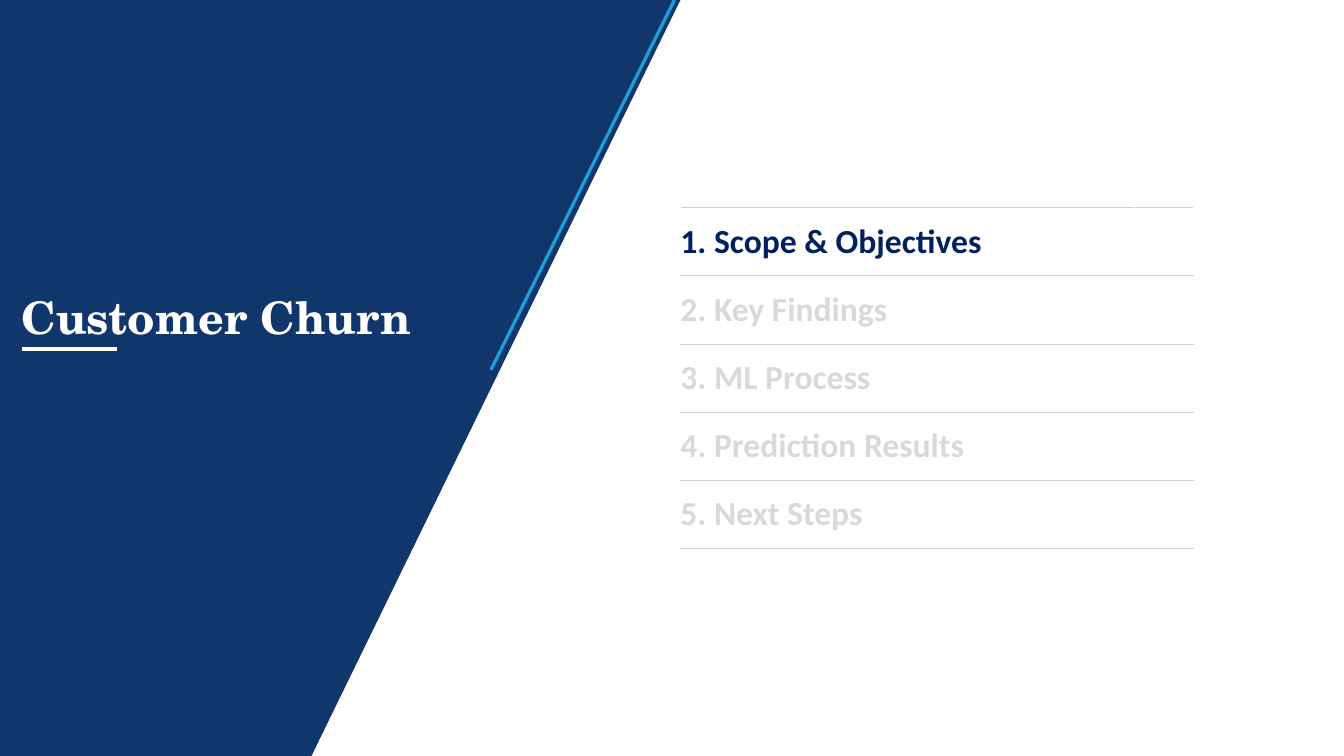
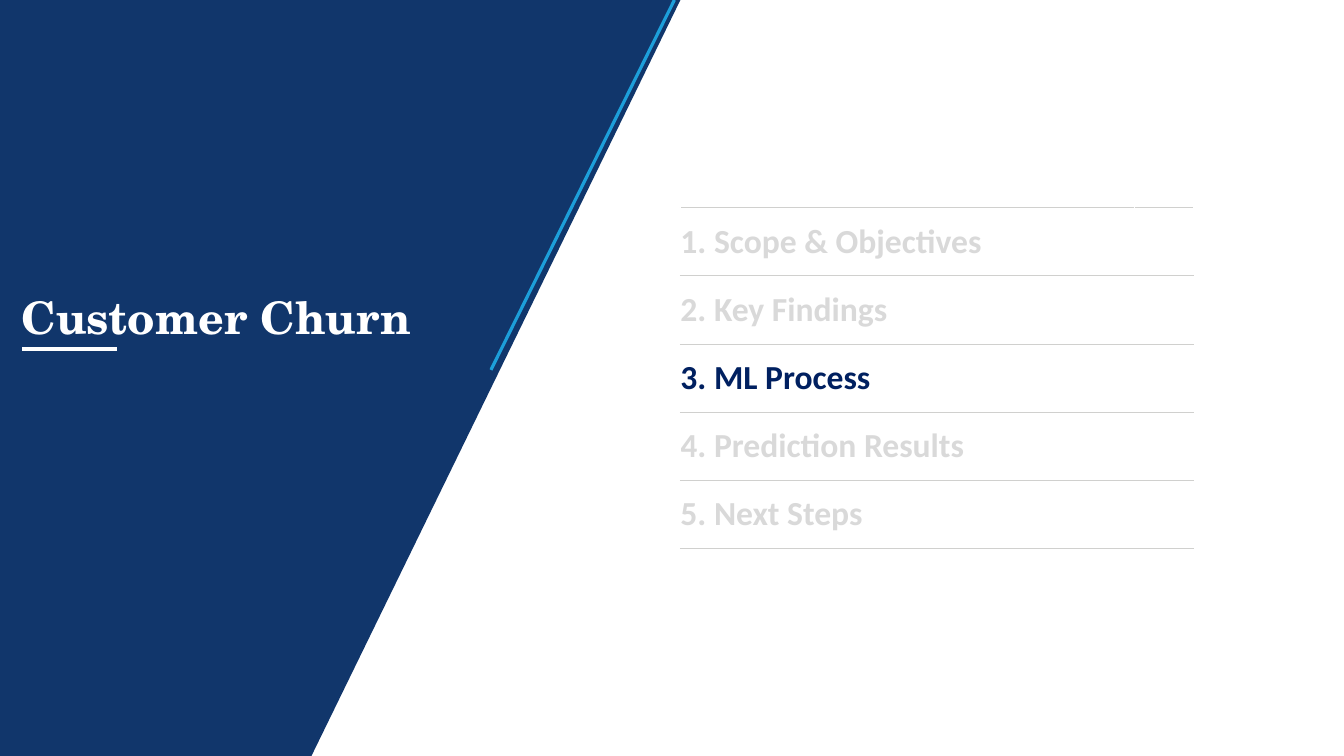
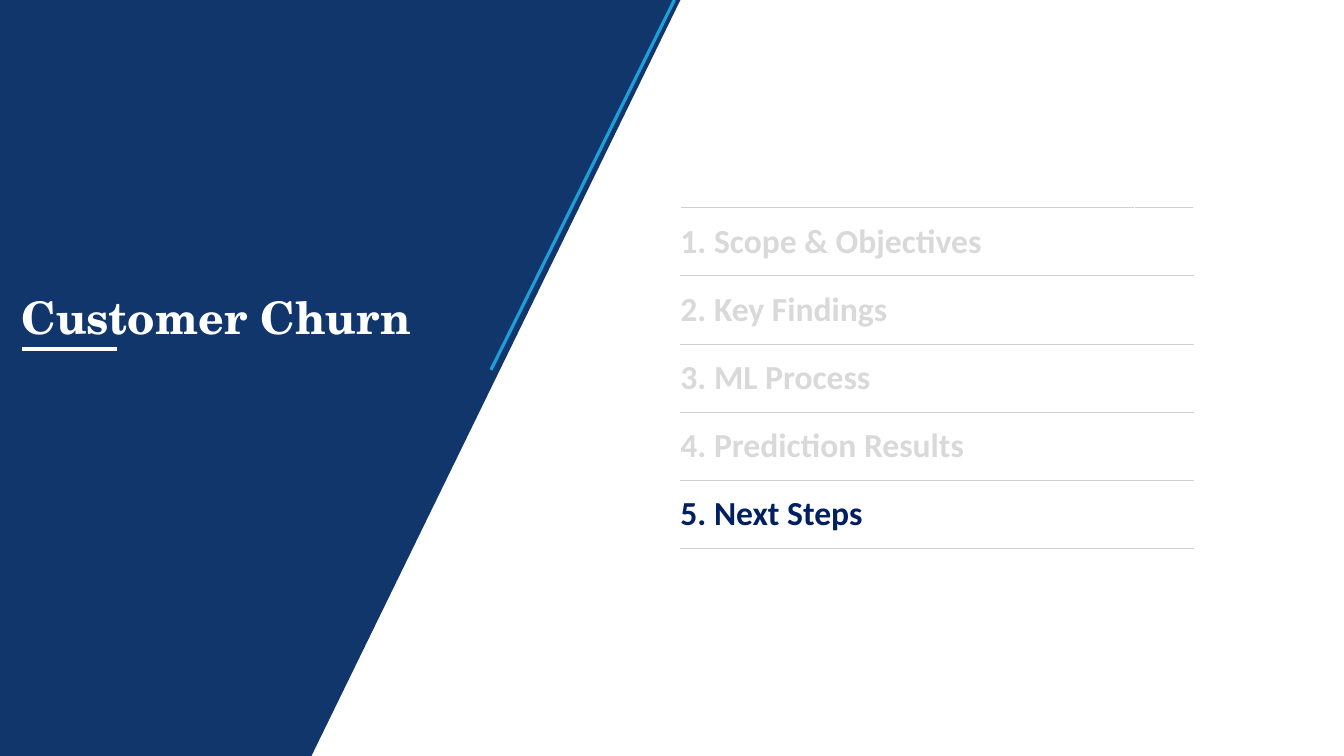
"""Build three agenda slides that each highlight one section of the deck."""
import dataclasses

import lxml.etree
import pptx
import pptx.dml.color
import pptx.enum.shapes
import pptx.enum.text
import pptx.oxml.ns
import pptx.slide
import pptx.table
import pptx.util

COLORS = {
    "navy": "11366B",
    "accent": "1D9FDA",
    "white": "FFFFFF",
    "active": "002060",
    "muted": "D9D9D9",
    "rule": "D0D0CE",
}
TITLE_FONT = "TeX Gyre Schola"
BODY_FONT = "Calibri"
WIDTH = pptx.util.Inches(13.333)
HEIGHT = pptx.util.Inches(7.5)
TITLE = "Customer Churn"
AGENDA = ("Scope & Objectives", "Key Findings", "ML Process", "Prediction Results", "Next Steps")
ACTIVE_ITEMS = (1, 3, 5)
BAND_EDGE = 50.63
BAND = ((BAND_EDGE, 0), (0, 0), (0, 100), (23.18, 100))
TABLE_TOP = 27.47
COLUMN_WIDTHS = (33.75, 4.4)
ROW_HEIGHT = 9.02


@dataclasses.dataclass(frozen=True)
class Rule:
    """A straight line between two points in percent of the slide."""

    start: tuple[float, float]
    end: tuple[float, float]
    color: str
    weight: float


RULES = (
    Rule((50.18, 0), (36.53, 48.93), "accent", 2.28),
    Rule((8.7, 46.13), (1.65, 46.13), "white", 3),
)


def px(share: float) -> pptx.util.Emu:
    """Turn a percentage of the slide width into a length."""
    return pptx.util.Emu(round(WIDTH * share / 100))


def py(share: float) -> pptx.util.Emu:
    """Turn a percentage of the slide height into a length."""
    return pptx.util.Emu(round(HEIGHT * share / 100))


def rgb(name: str) -> pptx.dml.color.RGBColor:
    """Look up a palette colour."""
    return pptx.dml.color.RGBColor.from_string(COLORS[name])


def add_run(p, text: str, font: str, size: float, color: str) -> None:
    """Add a bold run to a paragraph."""
    r = p.add_run()
    r.text = text
    r.font.name = font
    r.font.size = pptx.util.Pt(size)
    r.font.bold = True
    r.font.color.rgb = rgb(color)


def add_band(s: pptx.slide.Slide) -> None:
    """Draw the slanted navy band."""
    points = [(px(x), py(y)) for x, y in BAND]
    builder = s.shapes.build_freeform(*points[0])
    builder.add_line_segments(points[1:], close=True)
    sp = builder.convert_to_shape()
    sp.shadow.inherit = False
    sp.fill.solid()
    sp.fill.fore_color.rgb = rgb("navy")
    sp.line.fill.background()


def add_rule(s: pptx.slide.Slide, rule: Rule) -> None:
    """Draw one line without a shadow."""
    (x1, y1), (x2, y2) = rule.start, rule.end
    line = s.shapes.add_connector(
        pptx.enum.shapes.MSO_CONNECTOR.STRAIGHT, px(x1), py(y1), px(x2), py(y2)
    )
    line.line.color.rgb = rgb(rule.color)
    line.line.width = pptx.util.Pt(rule.weight)
    lxml.etree.SubElement(line.element.spPr, pptx.oxml.ns.qn("a:effectLst"))


def format_title(s: pptx.slide.Slide) -> None:
    """Place the title on the band and bring it in front."""
    sp = s.shapes.title
    sp.left, sp.top, sp.width, sp.height = px(1.5), py(38.13), px(30.38), py(7.33)
    tf = sp.text_frame
    tf.word_wrap = True
    tf.auto_size = pptx.enum.text.MSO_AUTO_SIZE.SHAPE_TO_FIT_TEXT
    tf.vertical_anchor = pptx.enum.text.MSO_ANCHOR.TOP
    tf.margin_left = tf.margin_top = pptx.util.Inches(0.01)
    tf.margin_right = tf.margin_bottom = 0
    p = tf.paragraphs[0]
    p.alignment = pptx.enum.text.PP_ALIGN.LEFT
    p.space_before = pptx.util.Pt(0.9)
    add_run(p, TITLE, TITLE_FONT, 32, "white")
    sp.element.getparent().append(sp.element)


def format_cell(cell: pptx.table._Cell, inner_side: str) -> None:
    """Give a cell grey rules above and below and a white inner border."""
    borders = {inner_side: "white", "T": "rule", "B": "rule"}
    tc_pr = cell._tc.get_or_add_tcPr()
    for side, color in borders.items():
        ln = lxml.etree.SubElement(
            tc_pr, pptx.oxml.ns.qn(f"a:ln{side}"), w=str(pptx.util.Pt(0.75))
        )
        fill = lxml.etree.SubElement(ln, pptx.oxml.ns.qn("a:solidFill"))
        lxml.etree.SubElement(fill, pptx.oxml.ns.qn("a:srgbClr"), val=COLORS[color])
    cell.fill.background()
    cell.vertical_anchor = pptx.enum.text.MSO_ANCHOR.MIDDLE
    cell.margin_left = cell.margin_right = 0
    cell.margin_top = cell.margin_bottom = pptx.util.Inches(0.07)


def add_agenda(s: pptx.slide.Slide, active: int) -> None:
    """Add the agenda table with one highlighted item."""
    frame = s.shapes.add_table(
        len(AGENDA), len(COLUMN_WIDTHS), px(BAND_EDGE), py(TABLE_TOP),
        px(sum(COLUMN_WIDTHS)), py(ROW_HEIGHT * len(AGENDA)),
    )
    table = frame.table
    table.first_row = table.horz_banding = False
    for column, width in zip(table.columns, COLUMN_WIDTHS):
        column.width = px(width)
    for number, (row, item) in enumerate(zip(table.rows, AGENDA), start=1):
        row.height = py(ROW_HEIGHT)
        for cell, side in zip(row.cells, "RL"):
            format_cell(cell, side)
        color = "active" if number == active else "muted"
        p = row.cells[0].text_frame.paragraphs[0]
        add_run(p, f"{number}. {item}", BODY_FONT, 24, color)


def add_agenda_slide(prs, active: int) -> None:
    """Add one complete agenda slide."""
    s = prs.slides.add_slide(prs.slide_layouts.get_by_name("Title Only"))
    add_band(s)
    for rule in RULES:
        add_rule(s, rule)
    format_title(s)
    add_agenda(s, active)


def main() -> None:
    """Build and save the deck."""
    prs = pptx.Presentation()
    prs.slide_width, prs.slide_height = WIDTH, HEIGHT
    for active in ACTIVE_ITEMS:
        add_agenda_slide(prs, active)
    prs.save("out.pptx")


if __name__ == "__main__":
    main()
